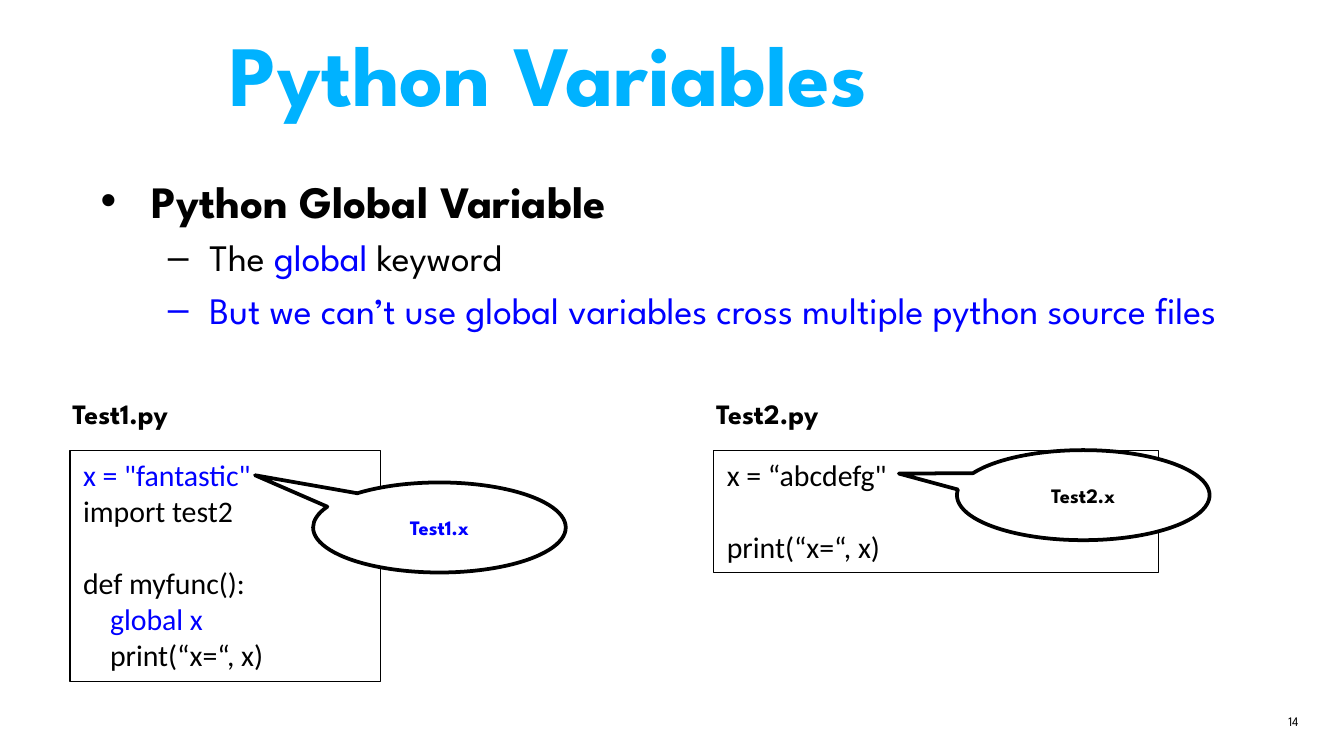
from lxml.etree import SubElement
from pptx import Presentation
from pptx.dml.color import RGBColor
from pptx.enum.shapes import MSO_SHAPE as Shape
from pptx.enum.text import MSO_ANCHOR as Anchor, PP_ALIGN as Align
from pptx.oxml.ns import qn
from pptx.util import Inches, Pt

HEADING_FONT = "League Spartan"
CODE_FONT = "Calibri"
CODE_SIZE = 16
BLACK, BLUE, SKY, WHITE = "000000", "0000FF", "00B2FF", "FFFFFF"


def color(value):
    """Turn a hex string into a colour."""
    return RGBColor.from_string(value)


def add_span(para, text, size, tint=BLACK, bold=False, font=HEADING_FONT):
    """Append one formatted run to a paragraph."""
    span = para.add_run()
    span.text = text
    span.font.name = font
    span.font.size = Pt(size)
    span.font.bold = bold
    span.font.color.rgb = color(tint)


def add_code_break(para):
    """Append a line break that is as tall as a line of code."""
    para.add_line_break()
    props = SubElement(para._p[-1], qn("a:rPr"), sz=str(CODE_SIZE * 100))
    SubElement(props, qn("a:latin"), typeface=CODE_FONT)


def add_box(page, left, top, width, height, wrap=True):
    """Add an empty text box."""
    box = page.shapes.add_textbox(Inches(left), Inches(top), Inches(width), Inches(height))
    box.text_frame.word_wrap = wrap
    return box


def add_outlined(page, kind, left, top, width, height, line_width, fill=None):
    """Add a black-outlined shape without shadow."""
    shape = page.shapes.add_shape(kind, Inches(left), Inches(top), Inches(width), Inches(height))
    shape.shadow.inherit = False
    shape.line.color.rgb = color(BLACK)
    shape.line.width = Pt(line_width)
    if fill:
        shape.fill.solid()
        shape.fill.fore_color.rgb = color(fill)
    else:
        shape.fill.background()
    return shape


def set_bullet(para, mark, margin, hanging):
    """Give a paragraph a bullet with a hanging indent."""
    props = para._p.get_or_add_pPr()
    props.set("marL", str(Inches(margin)))
    props.set("indent", str(-Inches(hanging)))
    SubElement(props, qn("a:buFont"), typeface="Arial")
    SubElement(props, qn("a:buChar"), char=mark)


def place_title(page, left, top, width, height):
    """Move and format the title placeholder."""
    title = page.shapes.title
    title.left, title.top = Inches(left), Inches(top)
    title.width, title.height = Inches(width), Inches(height)
    frame = title.text_frame
    frame.margin_left = frame.margin_right = frame.margin_top = frame.margin_bottom = 0
    frame.vertical_anchor = Anchor.TOP
    para = frame.paragraphs[0]
    para.alignment = Align.LEFT
    para.line_spacing = 0.9
    add_span(para, "Python Variables", 46, SKY, True)


def add_points(page, left, top, width, height):
    """Add the main bullet and its two sub-points."""
    frame = add_box(page, left, top, width, height).text_frame
    heading = frame.paragraphs[0]
    set_bullet(heading, "•", 0.38, 0.38)
    add_span(heading, "Python Global Variable", 24, bold=True)
    points = [
        [("The ", BLACK), ("global", BLUE), (" keyword", BLACK)],
        [("But we can’t use global variables cross multiple python source files", BLUE)],
    ]
    for spans in points:
        para = frame.add_paragraph()
        para.level = 1
        para.space_before = Pt(4)
        set_bullet(para, "–", 0.81, 0.31)
        for text, tint in spans:
            add_span(para, text, 20, tint)


def add_code(page, left, top, width, height, blocks):
    """Add a framed listing of (gap before, lines) blocks."""
    box = add_outlined(page, Shape.RECTANGLE, left, top, width, height, 0.75)
    frame = box.text_frame
    frame.word_wrap = True
    frame.vertical_anchor = Anchor.TOP
    for index, (gap, lines) in enumerate(blocks):
        para = frame.add_paragraph() if index else frame.paragraphs[0]
        para.alignment = Align.LEFT
        if gap:
            para.space_before = Pt(gap)
        for number, (text, tint) in enumerate(lines):
            if number:
                add_code_break(para)
            if text:
                add_span(para, text, CODE_SIZE, tint, font=CODE_FONT)


def add_callout(page, left, top, text, tint, tip):
    """Add an elliptical callout with its tip at the given offset."""
    callout = add_outlined(page, Shape.OVAL_CALLOUT, left, top, 1.88, 0.67, 2, WHITE)
    callout.adjustments[0], callout.adjustments[1] = tip
    frame = callout.text_frame
    frame.word_wrap = True
    frame.vertical_anchor = Anchor.MIDDLE
    para = frame.paragraphs[0]
    para.alignment = Align.CENTER
    add_span(para, text, 11, tint, True)


def add_source_file(page, left, top, width, height, name, blocks, callout):
    """Add a file name, its code and a callout on its variable."""
    label = add_box(page, left - 0.08, top - 0.45, 1.02, 0.35, wrap=False)
    add_span(label.text_frame.paragraphs[0], f"{name}.py", 15, bold=True)
    add_code(page, left, top, width, height, blocks)
    across, down, tint, tip = callout
    add_callout(page, left + across, top + down, f"{name}.x", tint, tip)


def add_page_number(page, left, top, width, height):
    """Add the page number."""
    frame = add_box(page, left, top, width, height).text_frame
    frame.vertical_anchor = Anchor.MIDDLE
    para = frame.paragraphs[0]
    para.alignment = Align.RIGHT
    add_span(para, "14", 7)


def main():
    """Build and save the deck."""
    deck = Presentation()
    deck.slide_width = Inches(10)
    deck.slide_height = deck.slide_width * 9 // 16
    page = deck.slides.add_slide(deck.slide_layouts[5])
    place_title(page, 1.71, 0.24, 7.54, 0.71)
    add_points(page, 0.65, 1.24, 9.08, 1.84)
    first_code = [
        (0, [('x = "fantastic"', BLUE), ("import test2", BLACK)]),
        (19.5, [("def myfunc():", BLACK)]),
        (0, [("    global x", BLUE), ("    print(“x=“, x)", BLACK)]),
    ]
    second_code = [(0, [('x = “abcdefg"', BLACK), ("", BLACK), ("print(“x=“, x)", BLACK)])]
    add_source_file(page, 0.52, 3.35, 2.31, 1.72, "Test1", first_code,
                    (1.81, 0.24, BLUE, (-0.73, -0.58)))
    add_source_file(page, 5.31, 3.35, 3.31, 0.91, "Test2", second_code,
                    (1.81, 0, BLACK, (-0.73, -0.24)))
    add_page_number(page, 9.42, 5.17, 0.34, 0.4)
    deck.save("out.pptx")


if __name__ == "__main__":
    main()
